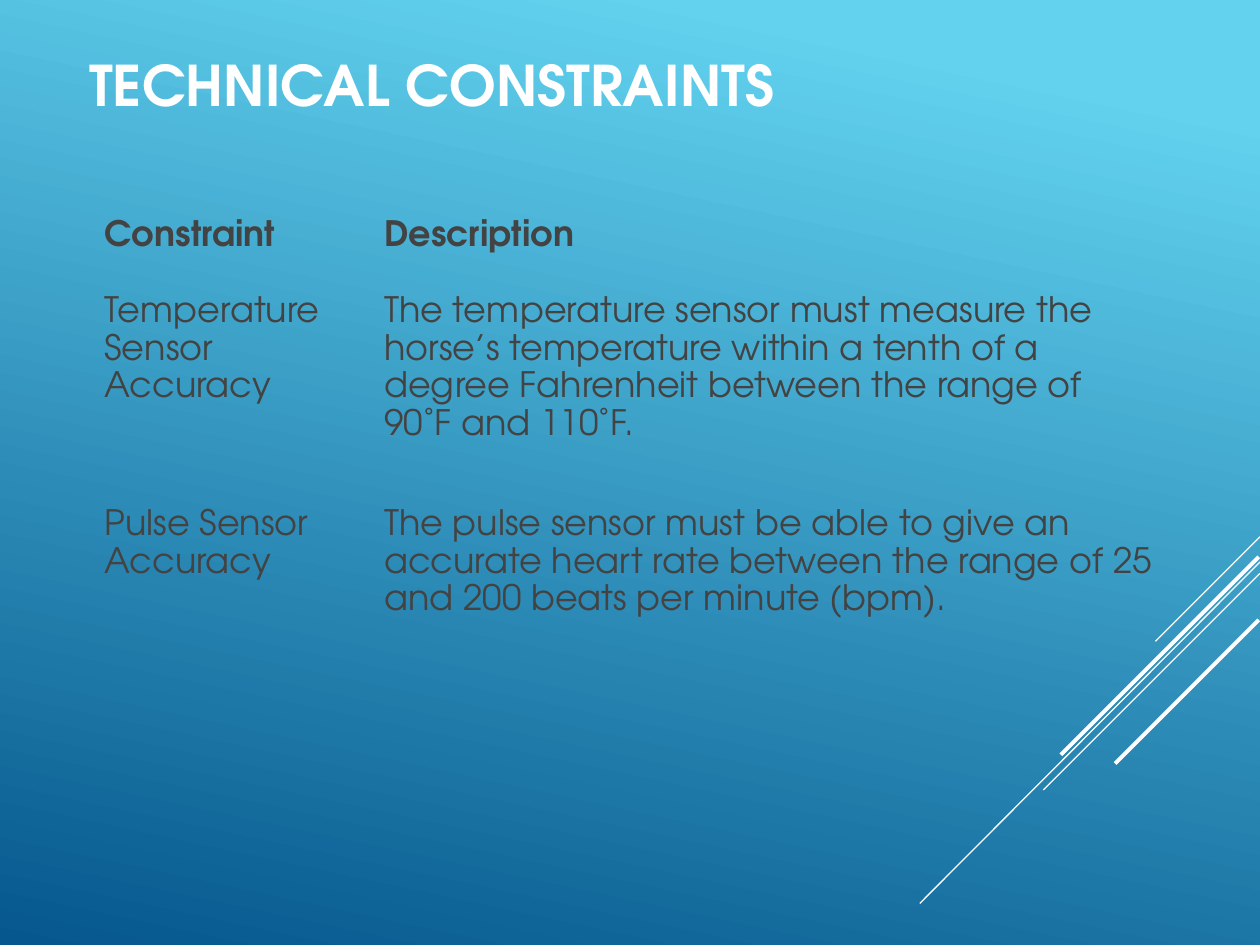
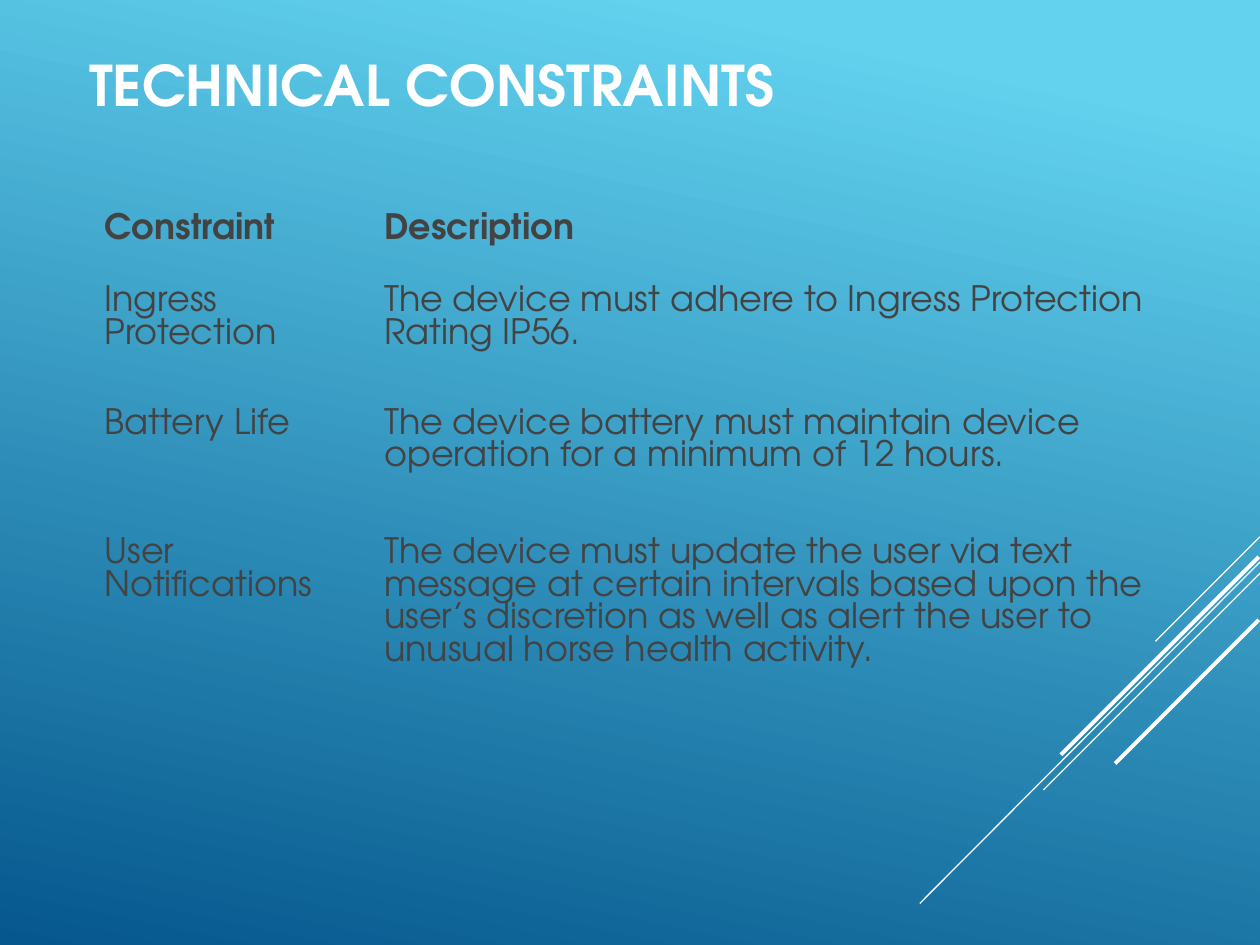
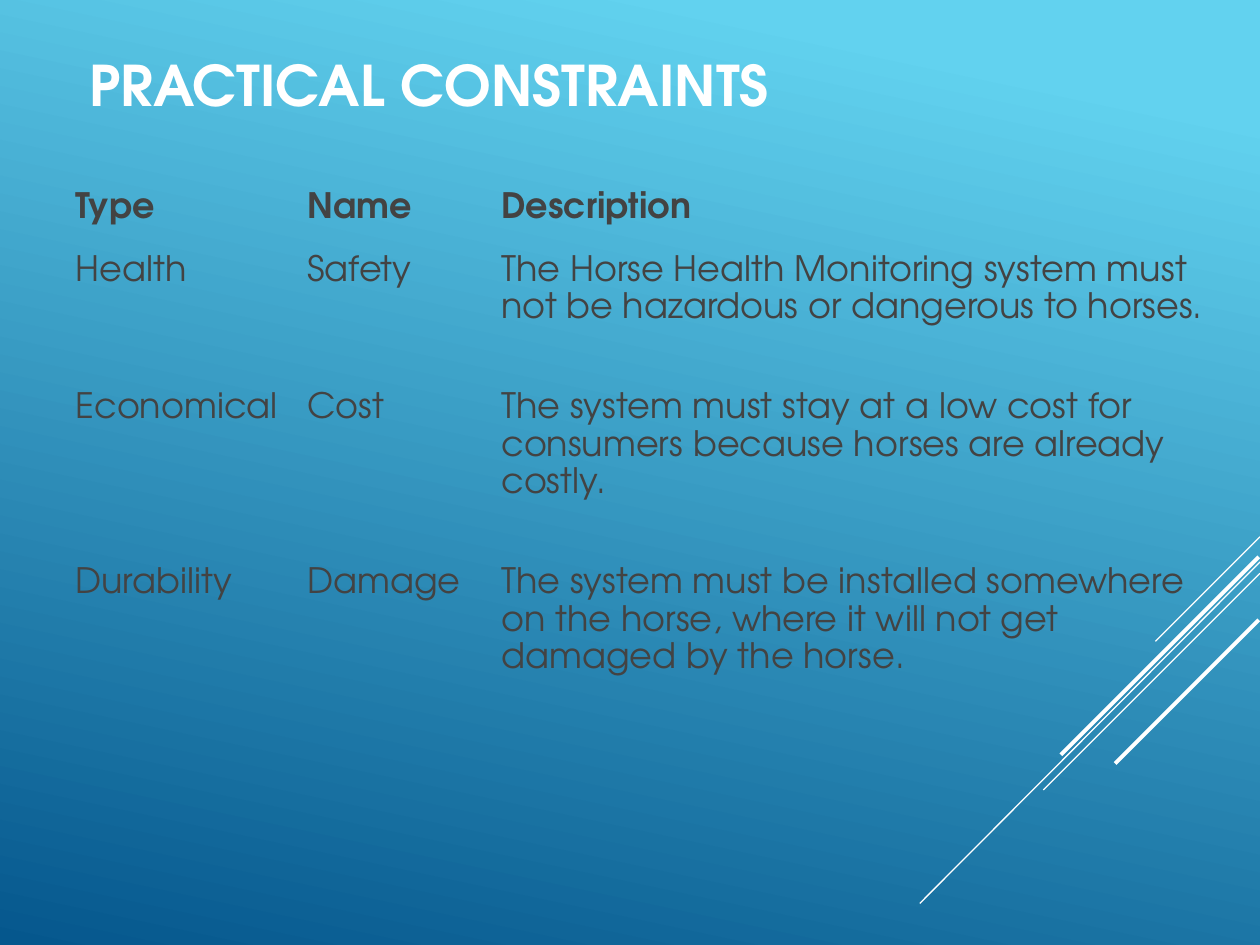
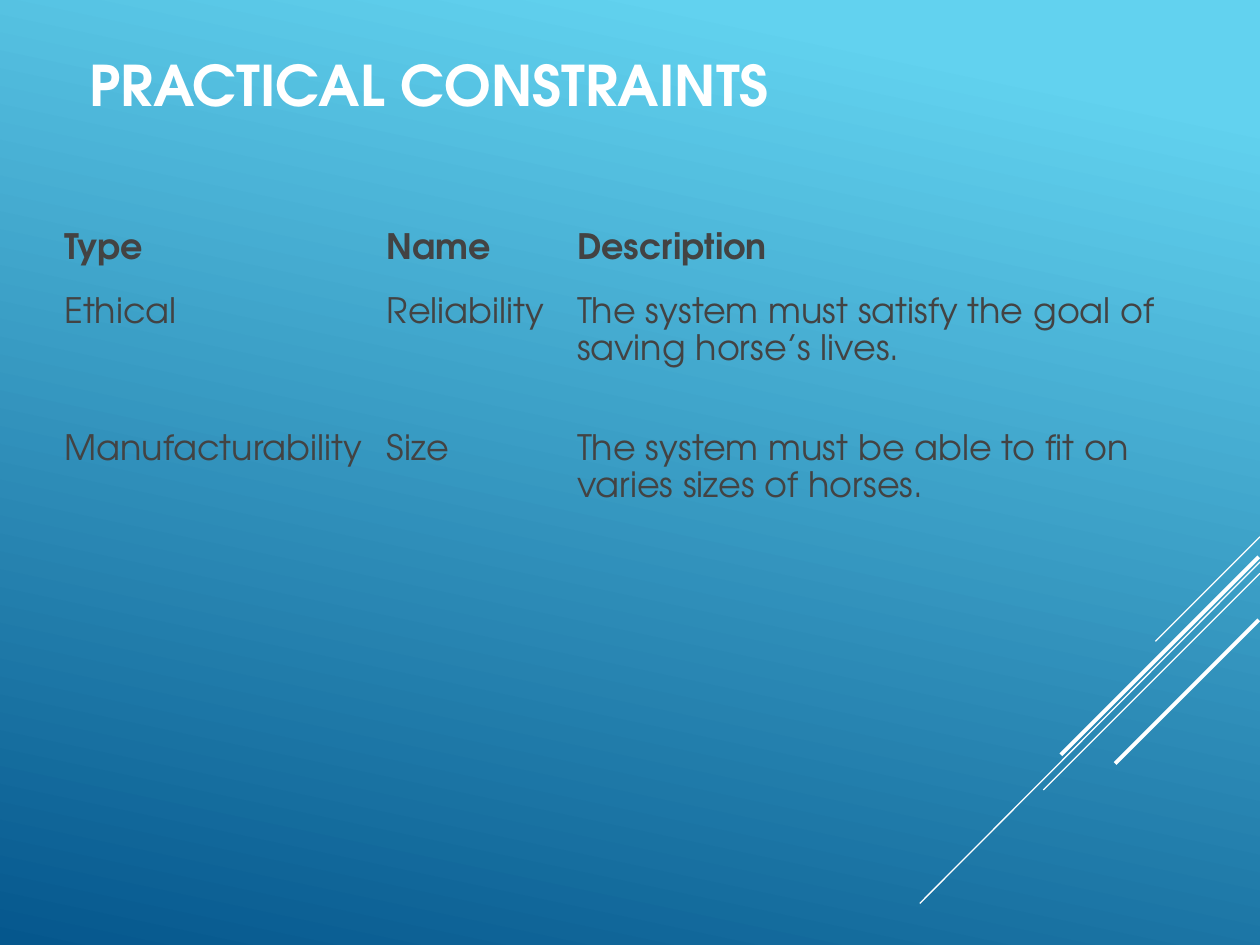
from copy import deepcopy

from pptx import Presentation
from pptx.dml.color import RGBColor
from pptx.enum.shapes import MSO_CONNECTOR
from pptx.enum.text import MSO_ANCHOR, MSO_AUTO_SIZE, PP_ALIGN
from pptx.oxml.ns import qn
from pptx.oxml.xmlchemy import OxmlElement
from pptx.util import Inches, Pt

# Shared look
FONT = "TeX Gyre Adventor"
WHITE = RGBColor(0xFF, 0xFF, 0xFF)
GREY = RGBColor(0x43, 0x43, 0x43)
SKY = RGBColor(0x62, 0xD2, 0xEF)
DEEP_BLUE = RGBColor(0x05, 0x57, 0x8D)
GRADIENT_ANGLE = 360 - 102  # counter-clockwise
NO_STYLE_NO_GRID = "{2D5ABB26-0587-4C30-8999-92F81FD0307C}"
TITLE_ONLY = 5
TITLE_BOX = (0.61, -0.17, 7.17, 1.67)

# Diagonal strokes: right end x, y, left end x, y, width in points
STROKES = [
    (10, 4.26, 9.17, 5.09, 0.75),
    (10, 4.46, 7.3, 7.17, 0.75),
    (10, 4.55, 8.28, 6.27, 0.75),
    (9.99, 4.42, 8.42, 5.99, 2.25),
    (9.99, 4.92, 8.85, 6.06, 2.25),
]

# Content: title, table corner, column widths, row heights, body spacing, rows
TECHNICAL = "TECHNICAL CONSTRAINTS"
PRACTICAL = "PRACTICAL CONSTRAINTS"
TECHNICAL_HEADS = ("Constraint", "Description")
PRACTICAL_HEADS = ("Type", "Name", "Description")
PAGES = [
    (TECHNICAL, (0.76, 1.61), (2.22, 6.26), (0.61, 1.69, 1.77), 1.15, [
        TECHNICAL_HEADS,
        ("Temperature Sensor Accuracy",
         "The temperature sensor must measure the horse’s temperature within "
         "a tenth of a degree Fahrenheit between the range of 90˚F and 110˚F."),
        ("Pulse Sensor Accuracy",
         "The pulse sensor must be able to give an accurate heart rate between "
         "the range of 25 and 200 beats per minute (bpm)."),
    ]),
    (TECHNICAL, (0.76, 1.56), (2.22, 6.26), (0.61, 0.97, 1.03, 1.77), 1.0, [
        TECHNICAL_HEADS,
        ("Ingress Protection",
         "The device must adhere to Ingress Protection Rating IP56."),
        ("Battery Life",
         "The device battery must maintain device operation for a minimum of "
         "12 hours."),
        ("User Notifications",
         "The device must update the user via text message at certain intervals "
         "based upon the user’s discretion as well as alert the user to unusual "
         "horse health activity."),
    ]),
    (PRACTICAL, (0.53, 1.39), (1.84, 1.54, 5.98), (0.5, 1.09, 1.39, 1.39), 1.15, [
        PRACTICAL_HEADS,
        ("Health", "Safety",
         "The Horse Health Monitoring system must not be hazardous or dangerous "
         "to horses."),
        ("Economical", "Cost",
         "The system must stay at a low cost for consumers because horses are "
         "already costly."),
        ("Durability", "Damage",
         "The system must be installed somewhere on the horse, where it will "
         "not get damaged by the horse."),
    ]),
    (PRACTICAL, (0.44, 1.72), (2.56, 1.51, 5.29), (0.5, 1.09, 1.09), 1.15, [
        PRACTICAL_HEADS,
        ("Ethical", "Reliability",
         "The system must satisfy the goal of saving horse’s lives."),
        ("Manufacturability", "Size",
         "The system must be able to fit on varies sizes of horses."),
    ]),
]


def set_font(para, size, color, bold):
    font = para.font
    font.name, font.size, font.bold = FONT, Pt(size), bold
    font.color.rgb = color


def paint_background(master):
    """Give every page the sky gradient, flat over its first tenth."""
    fill = master.background.fill
    fill.gradient()
    fill.gradient_angle = GRADIENT_ANGLE
    first, last = fill.gradient_stops
    first.color.rgb, first.position = SKY, 0
    last.color.rgb, last.position = DEEP_BLUE, 1
    stops = master.element.find(".//" + qn("a:gsLst"))
    flat_end = deepcopy(stops[0])
    flat_end.set("pos", "10000")
    stops.insert(1, flat_end)


def add_strokes(page, master):
    """Draw the diagonal strokes as a group and hand it to the master."""
    group = page.shapes.add_group_shape()
    for *ends, width in STROKES:
        stroke = group.shapes.add_connector(
            MSO_CONNECTOR.STRAIGHT, *map(Inches, ends))
        stroke.line.color.rgb = WHITE
        stroke.line.width = Pt(width)
        stroke.element.spPr.append(OxmlElement("a:effectLst"))
    master.shapes.element.append(group.element)


def set_title(page, text):
    title = page.shapes.title
    title.left, title.top, title.width, title.height = map(Inches, TITLE_BOX)
    frame = title.text_frame
    frame.text = text
    frame.auto_size = MSO_AUTO_SIZE.NONE
    frame.vertical_anchor = MSO_ANCHOR.MIDDLE
    para = frame.paragraphs[0]
    para.alignment = PP_ALIGN.LEFT
    set_font(para, 32, WHITE, True)


def fill_cell(cell, text, bold, spacing):
    cell.fill.background()
    cell.margin_left = cell.margin_right = Inches(0.07)
    cell.margin_top = cell.margin_bottom = Inches(0.1)
    cell.text = text
    para = cell.text_frame.paragraphs[0]
    para.line_spacing = spacing
    set_font(para, 20, GREY, bold)


def add_constraints(page, corner, widths, heights, spacing, rows):
    size = (sum(widths), sum(heights))
    table = page.shapes.add_table(
        len(rows), len(widths), *map(Inches, corner + size)).table
    table.first_row = table.horz_banding = False
    table._tbl.tblPr.find(qn("a:tableStyleId")).text = NO_STYLE_NO_GRID
    for column, width in zip(table.columns, widths):
        column.width = Inches(width)
    for index, (row, height, texts) in enumerate(zip(table.rows, heights, rows)):
        row.height = Inches(height)
        is_head = index == 0
        for cell, text in zip(row.cells, texts):
            fill_cell(cell, text, is_head, 1.15 if is_head else spacing)


def main():
    deck = Presentation()
    deck.slide_width, deck.slide_height = Inches(10), Inches(7.5)
    master = deck.slide_master
    paint_background(master)
    for title, *table in PAGES:
        page = deck.slides.add_slide(deck.slide_layouts[TITLE_ONLY])
        set_title(page, title)
        add_constraints(page, *table)
    add_strokes(page, master)
    deck.save("out.pptx")


if __name__ == "__main__":
    main()
